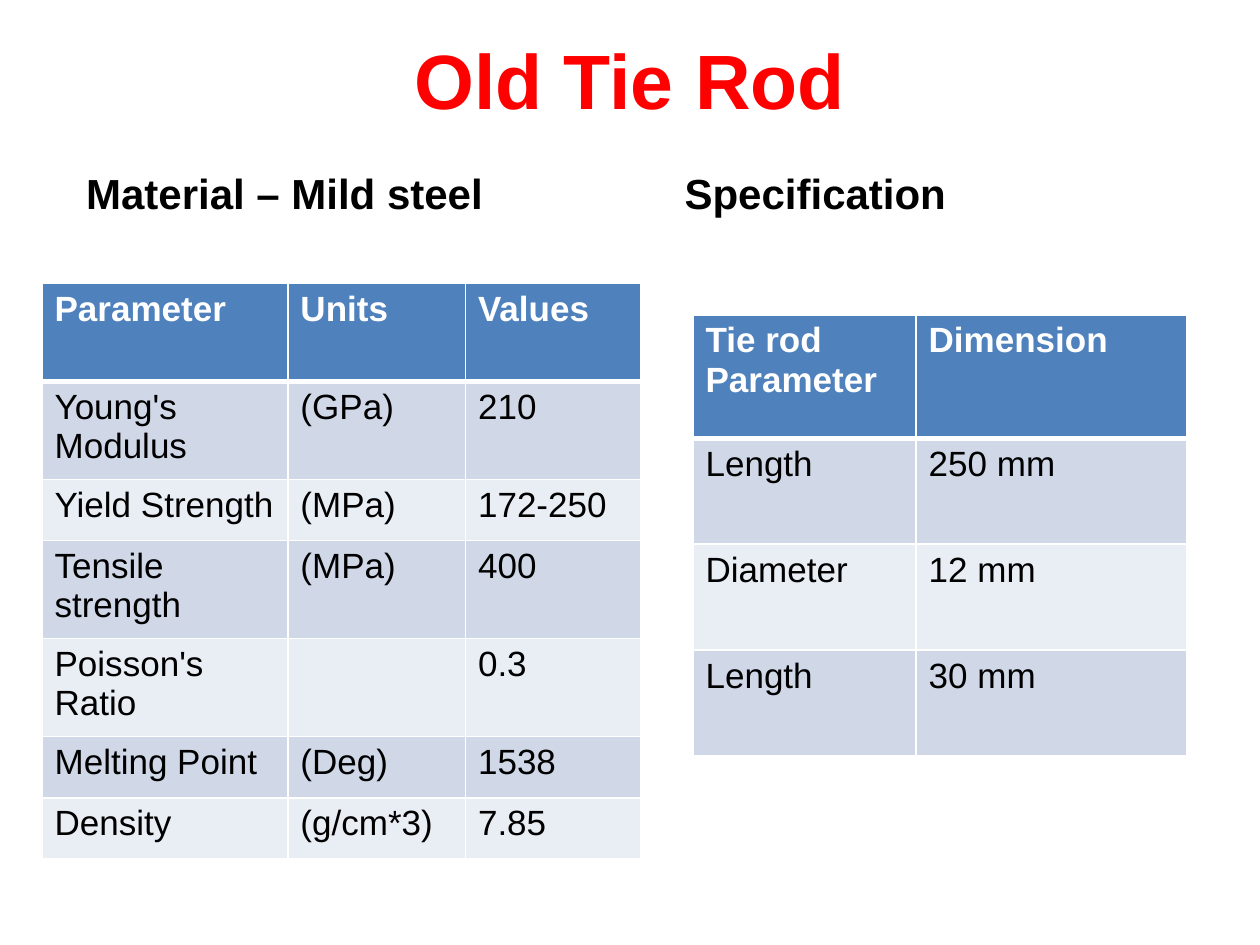
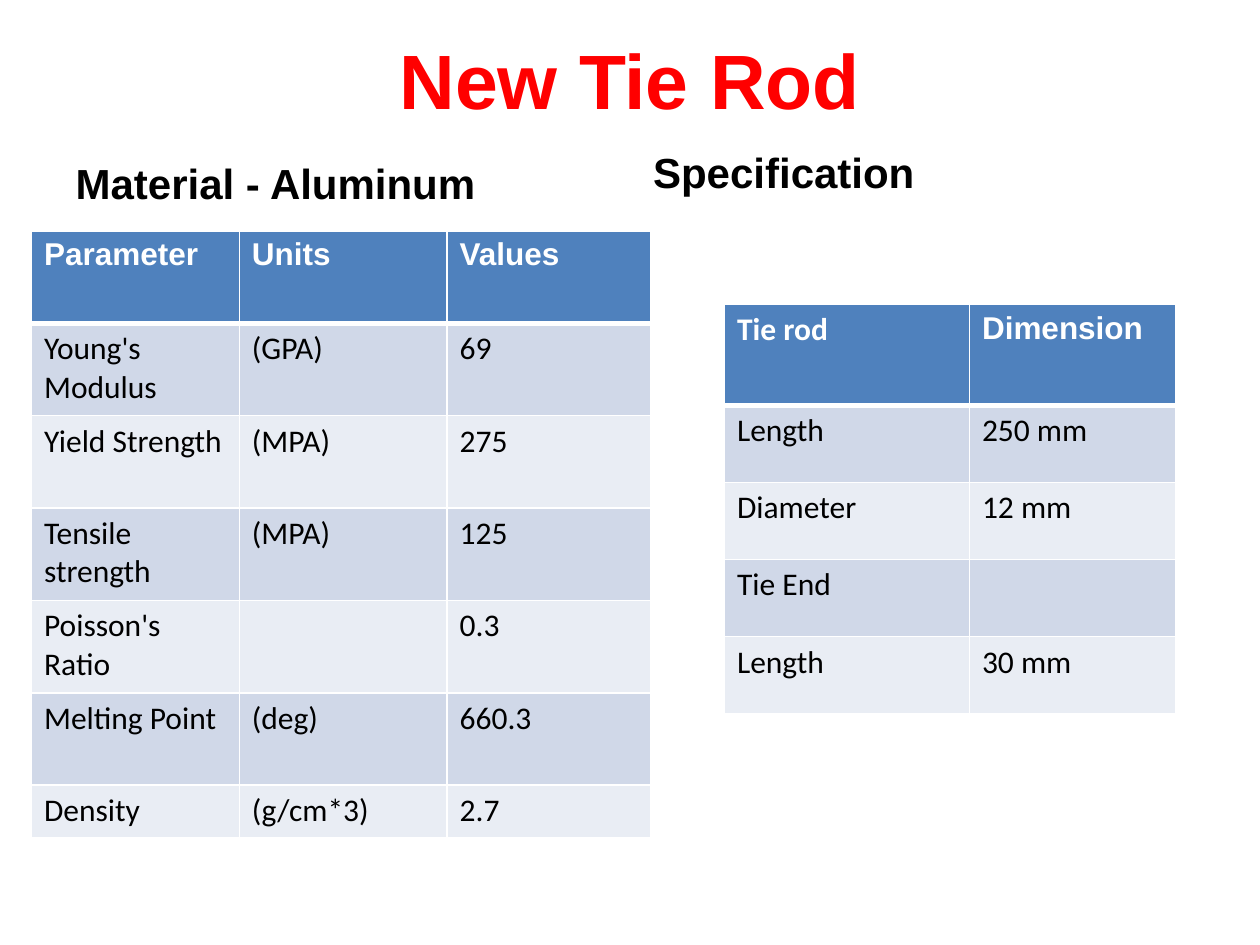
"""Build two slides that compare the material and size of an old and a new tie rod."""
from lxml import etree
from pptx import Presentation
from pptx.dml.color import RGBColor
from pptx.enum.text import MSO_ANCHOR, PP_ALIGN
from pptx.oxml.ns import qn
from pptx.util import Pt

LEFT, CENTER, JUSTIFY = PP_ALIGN.LEFT, PP_ALIGN.CENTER, PP_ALIGN.JUSTIFY
MIDDLE, BOTTOM = MSO_ANCHOR.MIDDLE, MSO_ANCHOR.BOTTOM
RED, BLACK, WHITE = "FF0000", "000000", "FFFFFF"
HEADER_FILL = "4F81BD"
BAND_FILLS = ["E9EDF4", "D0D8E8"]
COMPARISON_LAYOUT = 4

SLIDES = [
    {
        "title": "Old Tie Rod",
        "headings": [("Material – Mild steel", 42, 78), ("Specification", 384, 78)],
        "tables": [
            {
                "place": (396, 180), "columns": [127.5, 154.5],
                "heights": [70.5, 60.5, 60.5, 60.5],
                "size": 20, "align": LEFT, "font": "Arial", "header_fonts": ["Arial"] * 2,
                "rows": [
                    ["Tie rod Parameter", "Dimension"],
                    ["Length", "250 mm"],
                    ["Diameter", "12 mm"],
                    ["Length", "30 mm"],
                ],
            },
            {
                "place": (24, 162), "columns": [140.5, 101.5, 100],
                "heights": [56, 56, 35, 56, 56, 35, 35],
                "size": 20, "align": JUSTIFY, "font": "Arial", "header_fonts": ["Arial"] * 3,
                "rows": [
                    ["Parameter", "Units", "Values"],
                    ["Young's Modulus", "(GPa)", "210"],
                    ["Yield Strength", "(MPa)", "172-250"],
                    ["Tensile strength", "(MPa)", "400"],
                    ["Poisson's Ratio", "", "0.3"],
                    ["Melting Point", "(Deg)", "1538"],
                    ["Density", "(g/cm*3)", "7.85"],
                ],
            },
        ],
    },
    {
        "title": "New Tie Rod",
        "headings": [("Material - Aluminum", 36, 72), ("Specification", 366, 66)],
        "tables": [
            {
                "place": (18, 132), "columns": [118.75, 118.75, 116.5],
                "heights": [52.8] * 6 + [30],
                "size": 18, "align": JUSTIFY, "font": "Calibri", "header_fonts": ["Arial"] * 3,
                "rows": [
                    ["Parameter", "Units", "Values"],
                    ["Young's Modulus", "(GPA)", "69"],
                    ["Yield Strength", "(MPA)", "275"],
                    ["Tensile strength", "(MPA)", "125"],
                    ["Poisson's Ratio", "", "0.3"],
                    ["Melting Point", "(deg)", "660.3"],
                    ["Density", "(g/cm*3)", "2.7"],
                ],
            },
            {
                "place": (414, 174), "columns": [140, 118],
                "heights": [57.6] + [44.1] * 4,
                "size": 18, "align": LEFT, "font": "Calibri",
                "header_fonts": ["Calibri", "Arial"],
                "rows": [
                    ["Tie rod", "Dimension"],
                    ["Length", "250 mm"],
                    ["Diameter", "12 mm"],
                    ["Tie End", ""],
                    ["Length", "30 mm"],
                ],
            },
        ],
    },
]


def write_text(frame, text, size=20, font="Arial", color=BLACK, bold=True, align=LEFT):
    para = frame.paragraphs[0]
    para.alignment = align
    span = para.add_run()
    span.text = text
    span.font.size = Pt(size)
    span.font.name = font
    span.font.bold = bold
    span.font.color.rgb = RGBColor.from_string(color)


def add_border(cell, side, width):
    properties = cell._tc.get_or_add_tcPr()
    line = etree.SubElement(properties, qn(f"a:ln{side}"), w=str(Pt(width)))
    fill = etree.SubElement(line, qn("a:solidFill"))
    etree.SubElement(fill, qn("a:srgbClr"), val=WHITE)


deck = Presentation()
deck.slide_width, deck.slide_height = Pt(720), Pt(540)

for content in SLIDES:
    page = deck.slides.add_slide(deck.slide_layouts[COMPARISON_LAYOUT])
    title, left_heading, left_body, right_heading, right_body = page.placeholders
    for unused in (left_body, right_body):
        unused.element.getparent().remove(unused.element)

    title.left, title.top, title.width, title.height = Pt(36), Pt(0), Pt(648), Pt(90)
    title.text_frame.vertical_anchor = MIDDLE
    write_text(title.text_frame, content["title"], size=44, color=RED, align=CENTER)

    for box, (text, left, top) in zip((left_heading, right_heading), content["headings"]):
        box.left, box.top, box.width, box.height = Pt(left), Pt(top), Pt(318), Pt(50.4)
        box.text_frame.vertical_anchor = BOTTOM
        write_text(box.text_frame, text, size=24)

    for data in content["tables"]:
        rows, columns, heights = data["rows"], data["columns"], data["heights"]
        left, top = data["place"]
        table = page.shapes.add_table(
            len(rows), len(columns), Pt(left), Pt(top), Pt(sum(columns)), Pt(sum(heights))
        ).table
        for column, width in zip(table.columns, columns):
            column.width = Pt(width)
        for row_index, (row, height) in enumerate(zip(rows, heights)):
            table.rows[row_index].height = Pt(height)
            header = row_index == 0
            for column_index, text in enumerate(row):
                cell = table.cell(row_index, column_index)
                for side in "LRTB":
                    thick = (header and side == "B") or (row_index == 1 and side == "T")
                    add_border(cell, side, 3 if thick else 1)
                cell.fill.solid()
                cell.fill.fore_color.rgb = RGBColor.from_string(
                    HEADER_FILL if header else BAND_FILLS[row_index % 2]
                )
                if text:
                    write_text(
                        cell.text_frame, text, size=data["size"], align=data["align"],
                        font=data["header_fonts"][column_index] if header else data["font"],
                        color=WHITE if header else BLACK, bold=header,
                    )

deck.save("out.pptx")
